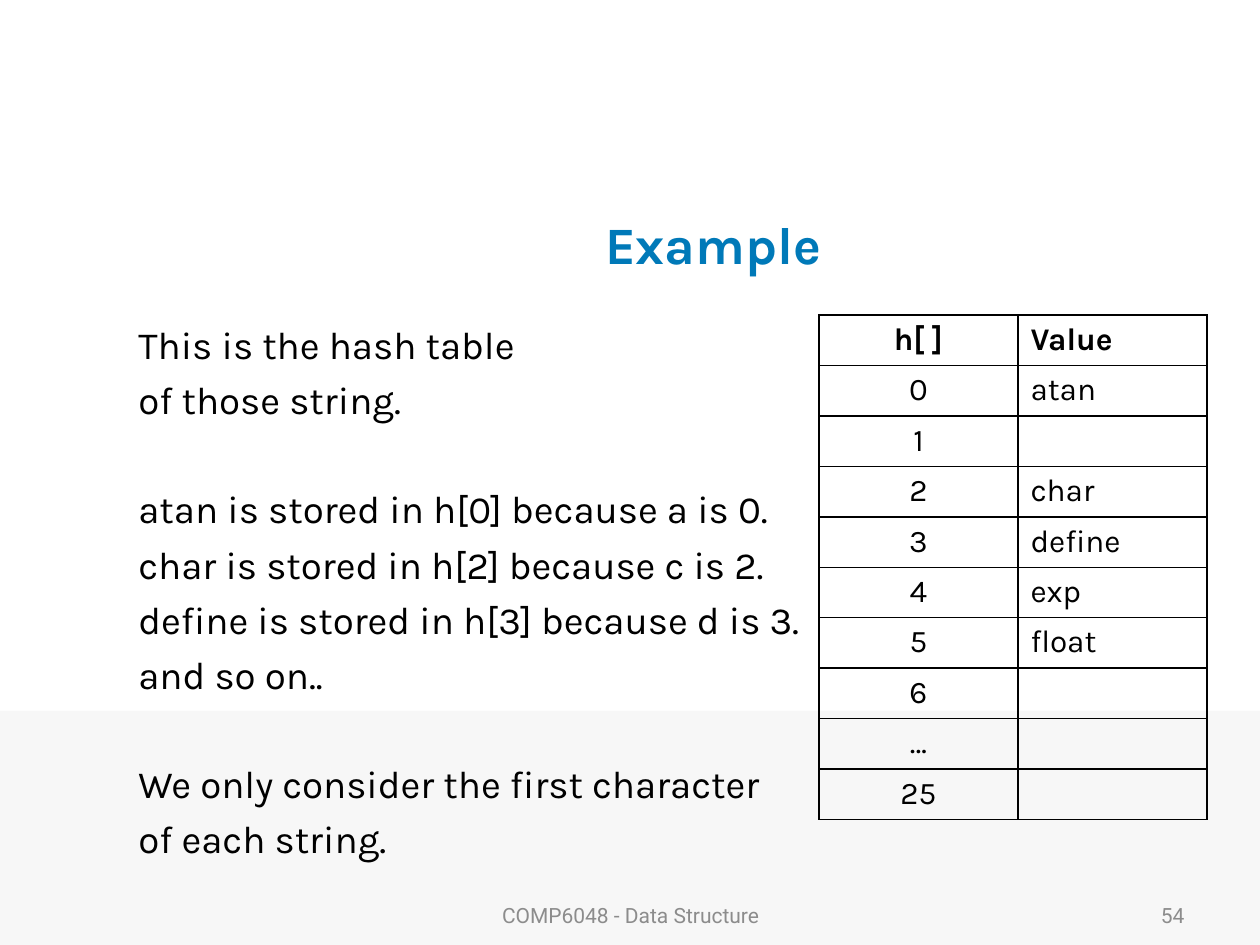
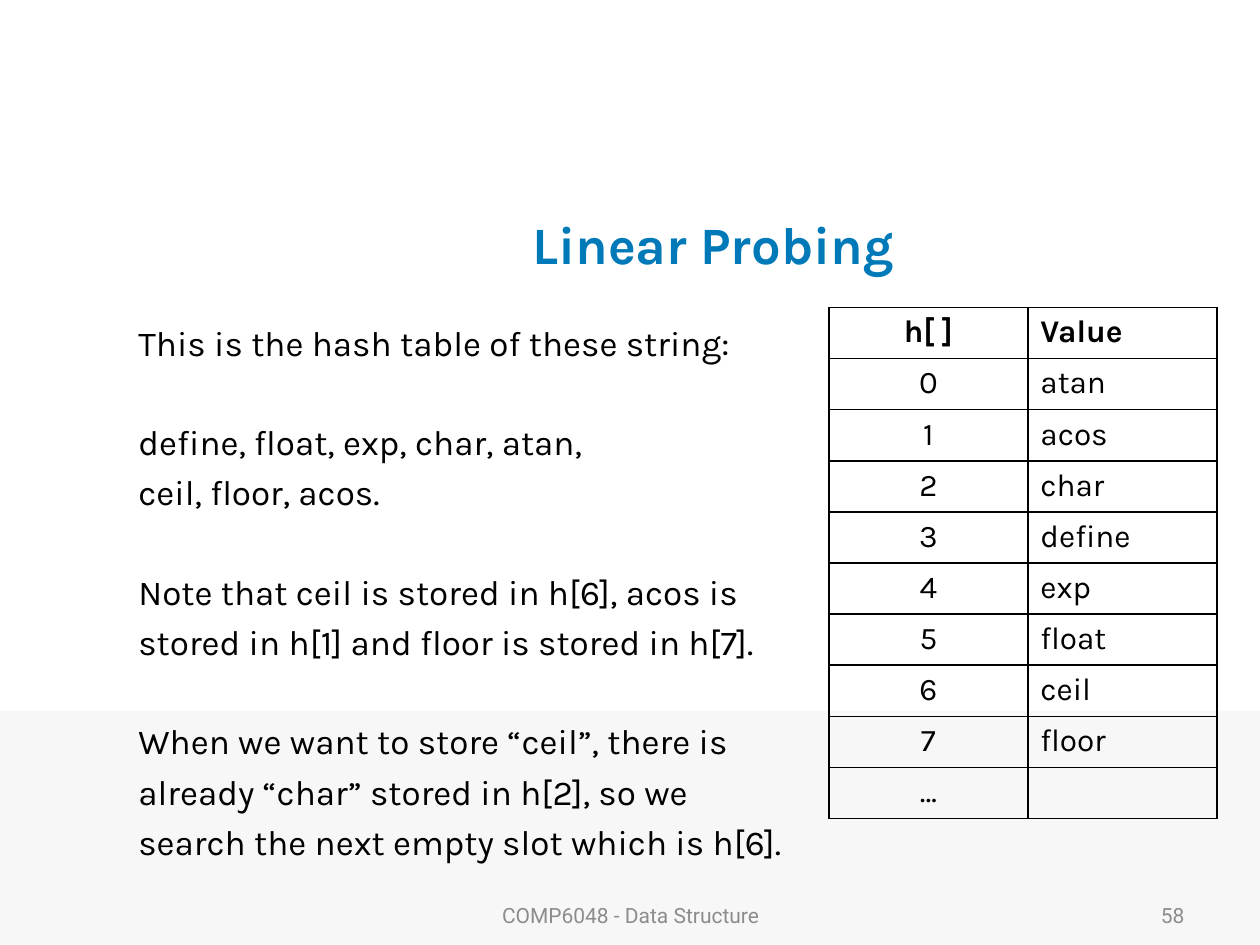
from lxml.etree import SubElement
from pptx import Presentation
from pptx.dml.color import RGBColor as RGB
from pptx.enum.shapes import MSO_SHAPE as SHAPE
from pptx.enum.text import MSO_ANCHOR as ANCHOR, PP_ALIGN as ALIGN
from pptx.oxml.ns import qn
from pptx.util import Cm, Pt

COLORS = {"band": "F7F7F7", "title": "0079B8", "footer": "8C8C8C", "text": "000000"}
FORMATS = {
    "title": {"name": "Karla", "size": Pt(30), "bold": True},
    "footer": {"name": "Roboto", "size": Pt(12), "bold": False},
    "text": {"name": "Karla", "size": Pt(18), "bold": False},
}
KARLA_LINE = 1.17  # line height as a share of the font size

# Blocks of body text are set apart by one empty line's height
SLIDES = [
    {
        "title": "Example", "number": "54", "size": 22, "body_width": 21.79,
        "blocks": [
            ["This is the hash table", "of those string."],
            ["atan is stored in h[0] because a is 0.",
             "char is stored in h[2] because c is 2.",
             "define is stored in h[3] because d is 3.",
             "and so on.."],
            ["We only consider the first character", "of each string."],
        ],
        "table_at": (16.51, 6.35), "row_height": 1.016,
        "rows": [("0", "atan"), ("1", ""), ("2", "char"), ("3", "define"), ("4", "exp"),
                 ("5", "float"), ("6", ""), ("…", ""), ("25", "")],
    },
    {
        "title": "Linear Probing", "number": "58", "size": 20, "body_width": 13.77,
        "blocks": [
            ["This is the hash table of these string:"],
            ["define, float, exp, char, atan,", "ceil, floor, acos."],
            ["Note that ceil is stored in h[6], acos is",
             "stored in h[1] and floor is stored in h[7]."],
            ["When we want to store “ceil”, there is",
             "already “char” stored in h[2], so we",
             "search the next empty slot which is h[6]."],
        ],
        "table_at": (16.71, 6.2), "row_height": 1.03,
        "rows": [("0", "atan"), ("1", "acos"), ("2", "char"), ("3", "define"), ("4", "exp"),
                 ("5", "float"), ("6", "ceil"), ("7", "floor"), ("…", "")],
    },
]


def write(p, text, style, align=ALIGN.LEFT, **changes):
    p.alignment = align
    r = p.add_run()
    r.text = text
    for key, value in (FORMATS[style] | changes).items():
        setattr(r.font, key, value)
    r.font.color.rgb = RGB.from_string(COLORS[style])


def add_box(s, left, top, width, height, anchor=ANCHOR.MIDDLE):
    tf = s.shapes.add_textbox(Cm(left), Cm(top), Cm(width), Cm(height)).text_frame
    tf.word_wrap = True
    tf.vertical_anchor = anchor
    return tf


prs = Presentation()
prs.slide_width, prs.slide_height = Cm(25.4), Cm(19.05)

for data in SLIDES:
    s = prs.slides.add_slide(prs.slide_layouts[6])

    # Grey band at the foot
    band = s.shapes.add_shape(SHAPE.RECTANGLE, 0, Cm(14.33), prs.slide_width, Cm(4.72))
    band.shadow.inherit = False
    band.fill.solid()
    band.fill.fore_color.rgb = RGB.from_string(COLORS["band"])
    band.line.fill.background()

    # Title, footer and slide number
    for text, style, align, place in [
        (data["title"], "title", ALIGN.CENTER, (4.88, 3.81, 19, 2.21)),
        ("COMP6048 - Data Structure", "footer", ALIGN.CENTER, (8.69, 17.93, 8.05, 1.02)),
        (data["number"], "footer", ALIGN.RIGHT, (18.21, 17.93, 5.92, 1.02)),
    ]:
        write(add_box(s, *place).paragraphs[0], text, style, align)

    # Body text
    tf = add_box(s, 2.54, 6.35, data["body_width"], 10.34, ANCHOR.TOP)
    line = data["size"] * KARLA_LINE
    for b, block in enumerate(data["blocks"]):
        for i, text in enumerate(block):
            first = b == 0 and i == 0
            p = tf.paragraphs[0] if first else tf.add_paragraph()
            if not first:
                p.space_before = Pt(round(line * (1.4 if i == 0 else 0.2), 1))
            write(p, text, "text", size=Pt(data["size"]))

    # Hash table
    rows = [("h[ ]", "Value")] + data["rows"]
    left, top = data["table_at"]
    table = s.shapes.add_table(len(rows), 2, Cm(left), Cm(top), Cm(7.82),
                               Cm(data["row_height"] * len(rows))).table
    table.first_row = table.horz_banding = False
    for column, width in zip(table.columns, (4.01, 3.81)):
        column.width = Cm(width)
    for i, row in enumerate(rows):
        table.rows[i].height = Cm(data["row_height"])
        for j, text in enumerate(row):
            cell = table.cell(i, j)
            write(cell.text_frame.paragraphs[0], text, "text",
                  ALIGN.LEFT if j else ALIGN.CENTER, bold=i == 0)
            tc_pr = cell._tc.get_or_add_tcPr()
            for side in ("a:lnL", "a:lnR", "a:lnT", "a:lnB"):
                ln = SubElement(tc_pr, qn(side), w=str(Pt(1)))
                SubElement(SubElement(ln, qn("a:solidFill")), qn("a:srgbClr"), val=COLORS["text"])
            cell.fill.background()

prs.save("out.pptx")
